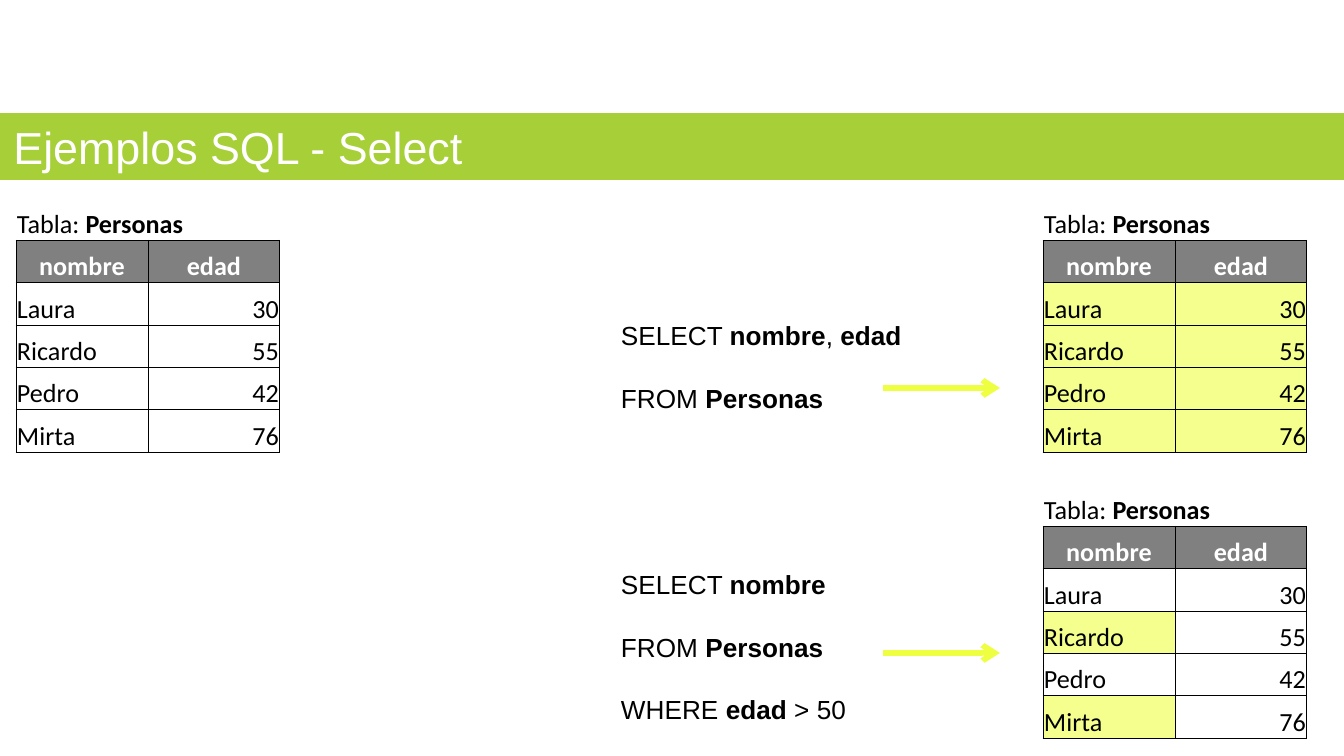
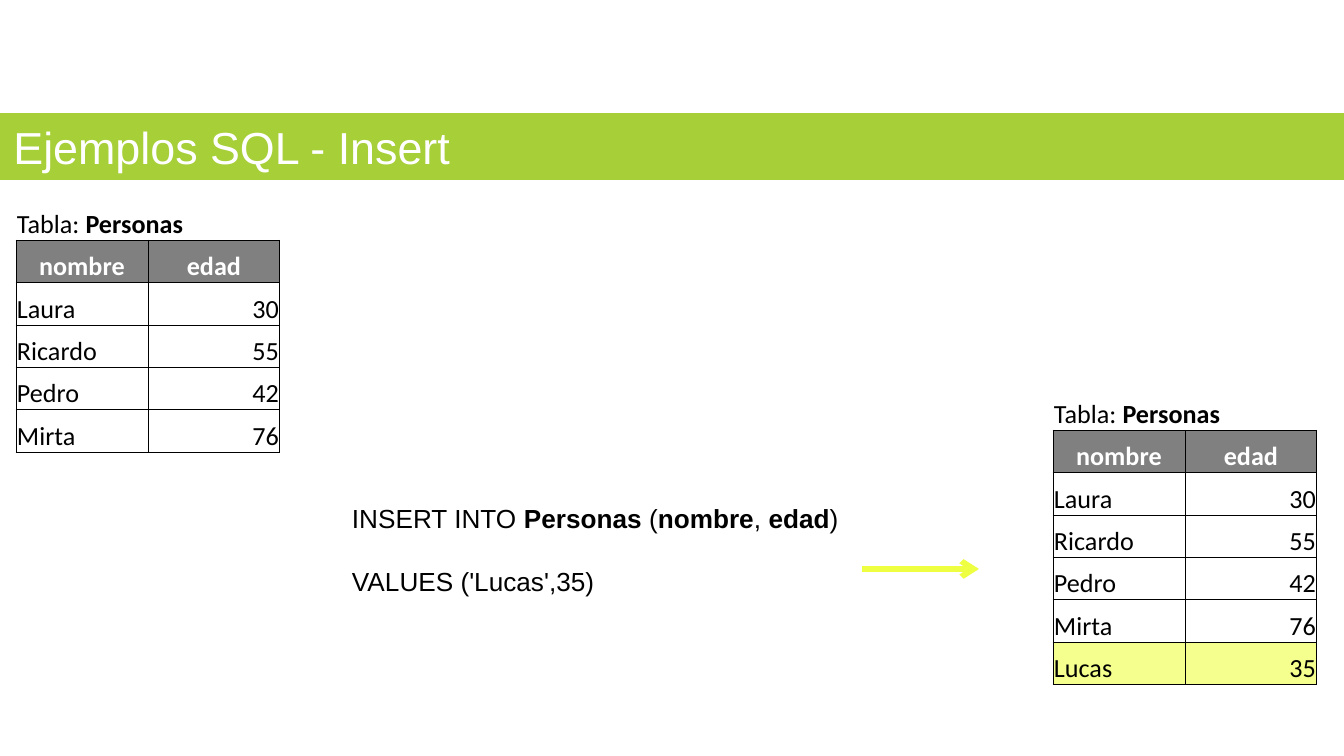
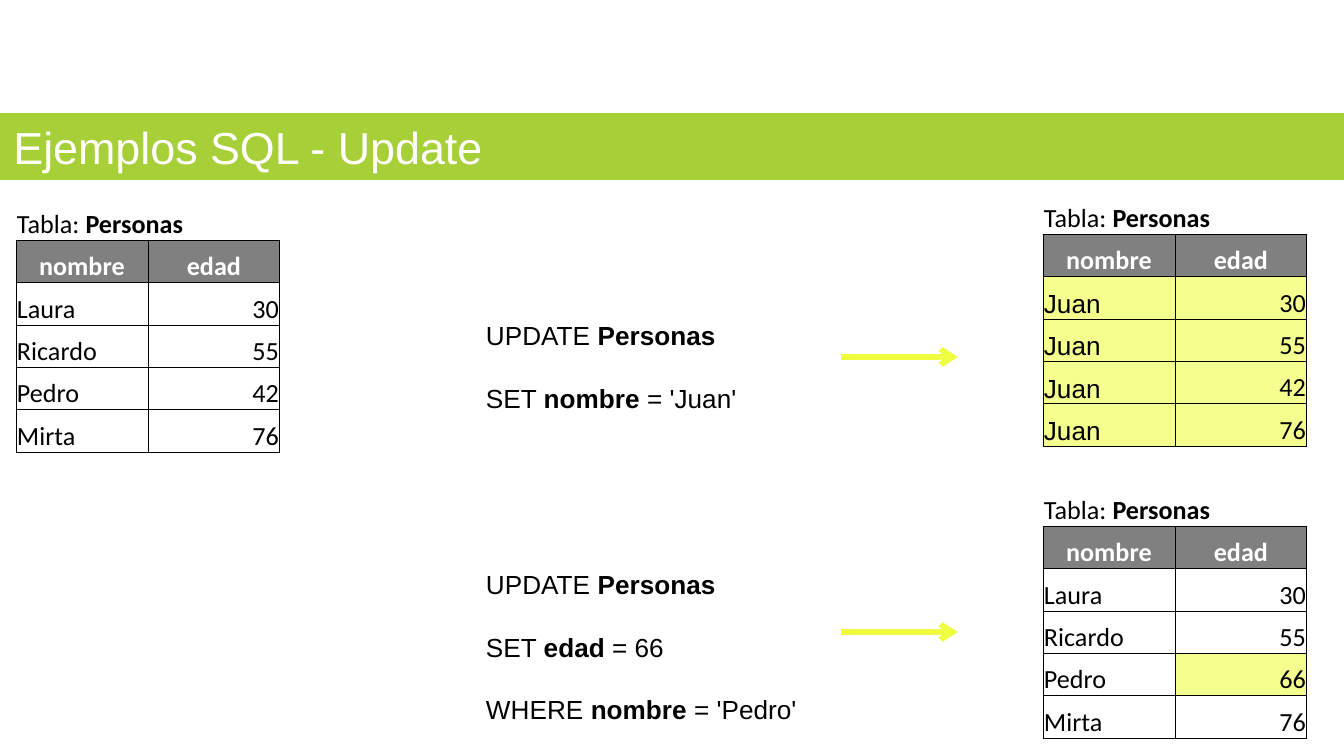
from lxml.etree import SubElement as Sub
from pptx import Presentation
from pptx.dml.color import RGBColor as RGB
from pptx.enum.shapes import MSO_CONNECTOR as Line
from pptx.enum.text import MSO_ANCHOR as Anchor, MSO_AUTO_SIZE as Auto, PP_ALIGN as Align
from pptx.oxml.ns import qn
from pptx.util import Pt

# Shared look
GREEN = RGB(0xA6, 0xCF, 0x38)
GRAY = RGB(0x80, 0x80, 0x80)
PALE = RGB(0xF5, 0xFF, 0x8D)
LIME = RGB(0xEE, 0xFF, 0x41)
BLACK = RGB(0, 0, 0)
WHITE = RGB(255, 255, 255)
SANS, GRID = "Arial", "Calibri"
WIDE, HIGH = 1344, 756
BAND = (0, 113, WIDE, 67)
BODY = (0, 183, WIDE, 573)
PAD = 13
COL = 132
SIX = 254  # height of six table rows
REACH = 117  # arrow length
STEP = 61  # distance between code lines
GAP = Pt(66)  # extra room between two statements

# Content: *stars* mark bold text
CAPTION = "Tabla: *Personas*"
HEAD = ("nombre", "edad")
PEOPLE = [("Laura", "30"), ("Ricardo", "55"), ("Pedro", "42"), ("Mirta", "76")]
RENAMED = [("Juan", age) for name, age in PEOPLE]
AGED = [(name, "66" if name == "Pedro" else age) for name, age in PEOPLE]
ADDED = PEOPLE + [("Lucas", "35")]
ALL = {(row, col) for row in range(4) for col in range(2)}

# Tables: left, top, rows, marked cells, font of the names
START = (16, 198, PEOPLE, set(), GRID)
SLIDES = [
    {
        "title": "Ejemplos SQL - Select",
        "left": 595, "skip": 2,
        "code": [
            ["SELECT *nombre*, *edad*", "FROM *Personas*"],
            ["SELECT *nombre*", "FROM *Personas*", "WHERE *edad* > 50"],
        ],
        "tables": [START, (1043, 198, PEOPLE, ALL, GRID),
                   (1043, 484, PEOPLE, {(1, 0), (3, 0)}, GRID)],
        "arrows": [(883, 388), (883, 653)],
    },
    {
        "title": "Ejemplos SQL - Insert",
        "left": 326, "skip": 5,
        "code": [["INSERT INTO *Personas* (*nombre*, *edad*)", "VALUES ('Lucas',35)"]],
        "tables": [START, (1053, 388, ADDED, {(4, 0), (4, 1)}, GRID)],
        "arrows": [(862, 569)],
    },
    {
        "title": "Ejemplos SQL - Update",
        "left": 460, "skip": 2,
        "code": [
            ["UPDATE *Personas*", "SET *nombre* = 'Juan'"],
            ["UPDATE *Personas*", "SET *edad* = 66", "WHERE *nombre* = 'Pedro'"],
        ],
        "tables": [START, (1043, 192, RENAMED, ALL, SANS),
                   (1043, 484, AGED, {(2, 1)}, GRID)],
        "arrows": [(841, 357), (841, 632)],
    },
]


def px(num):
    return round(num * 914400 / 134.4)


def place(shape, box):
    shape.left, shape.top, shape.width, shape.height = map(px, box)


def write(para, text, size, face, color):
    for turn, part in enumerate(text.split("*")):
        if part:
            run = para.add_run()
            run.text = part
            if turn % 2:
                run.font.bold = True
    font = para.font
    font.size, font.name, font.color.rgb = Pt(size), face, color


def add_title(slide, text):
    band = slide.shapes.title
    place(band, BAND)
    band.fill.solid()
    band.fill.fore_color.rgb = GREEN
    frame = band.text_frame
    frame.auto_size = Auto.NONE
    frame.vertical_anchor = Anchor.MIDDLE
    para = frame.paragraphs[0]
    para.alignment = Align.LEFT
    write(para, text, 24, SANS, WHITE)


def add_code(slide, blocks, left, skip):
    body = slide.placeholders[1]
    place(body, BODY)
    frame = body.text_frame
    frame.auto_size = Auto.NONE
    frame.margin_left, frame.margin_right = px(2 * PAD), px(PAD)
    frame.margin_top, frame.margin_bottom = px(PAD + skip * STEP), px(PAD)
    lines = [(text, GAP if b and not n else 0)
             for b, block in enumerate(blocks) for n, text in enumerate(block)]
    for num, (text, gap) in enumerate(lines):
        para = frame.add_paragraph() if num else frame.paragraphs[0]
        para.line_spacing = 1.05
        para.space_before, para.space_after = gap, Pt(16)
        prop = para._p.get_or_add_pPr()
        prop.set("marL", str(px(left)))
        prop.set("indent", "0")
        Sub(prop, qn("a:buNone"))
        write(para, text, 14, SANS, BLACK)


def fill_cell(cell, text, align, face=GRID, color=BLACK, back=None, sides="LRTB"):
    prop = cell._tc.get_or_add_tcPr()
    for side in sides:
        edge = Sub(prop, qn("a:ln" + side), w=str(Pt(0.5)))
        Sub(Sub(edge, qn("a:solidFill")), qn("a:srgbClr"), val=str(BLACK))
    if back is None:
        cell.fill.background()
    else:
        cell.fill.solid()
        cell.fill.fore_color.rgb = back
    cell.vertical_anchor = Anchor.BOTTOM
    cell.margin_left = cell.margin_right = cell.margin_top = px(1)
    cell.margin_bottom = 0
    para = cell.text_frame.paragraphs[0]
    para.alignment = align
    write(para, text, 14, face, color)


def add_grid(slide, left, top, rows, marks, face):
    count = len(rows) + 2
    grid = slide.shapes.add_table(count, 2, px(left), px(top), px(2 * COL),
                                  px(SIX * count / 6)).table
    grid.first_row = grid.horz_banding = False
    for row in grid.rows:
        row.height = px(SIX / 6)
    # Caption and header
    grid.cell(0, 0).merge(grid.cell(0, 1))
    for col, text in enumerate((CAPTION, "")):
        fill_cell(grid.cell(0, col), text, Align.LEFT, sides="B")
    for col, text in enumerate(HEAD):
        fill_cell(grid.cell(1, col), f"*{text}*", Align.CENTER, color=WHITE, back=GRAY)
    # People
    for r, (name, age) in enumerate(rows):
        backs = [PALE if (r, col) in marks else None for col in range(2)]
        fill_cell(grid.cell(r + 2, 0), name, Align.LEFT, face, back=backs[0])
        fill_cell(grid.cell(r + 2, 1), age, Align.RIGHT, back=backs[1])


def add_arrow(slide, left, top):
    arrow = slide.shapes.add_connector(Line.STRAIGHT, px(left), px(top),
                                       px(left + REACH), px(top))
    arrow.line.color.rgb = LIME
    arrow.line.width = Pt(3)
    prop = arrow.element.spPr
    Sub(prop.find(qn("a:ln")), qn("a:tailEnd"), type="arrow")
    Sub(prop, qn("a:effectLst"))


def main():
    deck = Presentation()
    deck.slide_width, deck.slide_height = px(WIDE), px(HIGH)
    for page in SLIDES:
        slide = deck.slides.add_slide(deck.slide_layouts[1])
        add_code(slide, page["code"], page["left"], page["skip"])
        add_title(slide, page["title"])
        for table in page["tables"]:
            add_grid(slide, *table)
        for spot in page["arrows"]:
            add_arrow(slide, *spot)
    deck.save("out.pptx")


if __name__ == "__main__":
    main()
